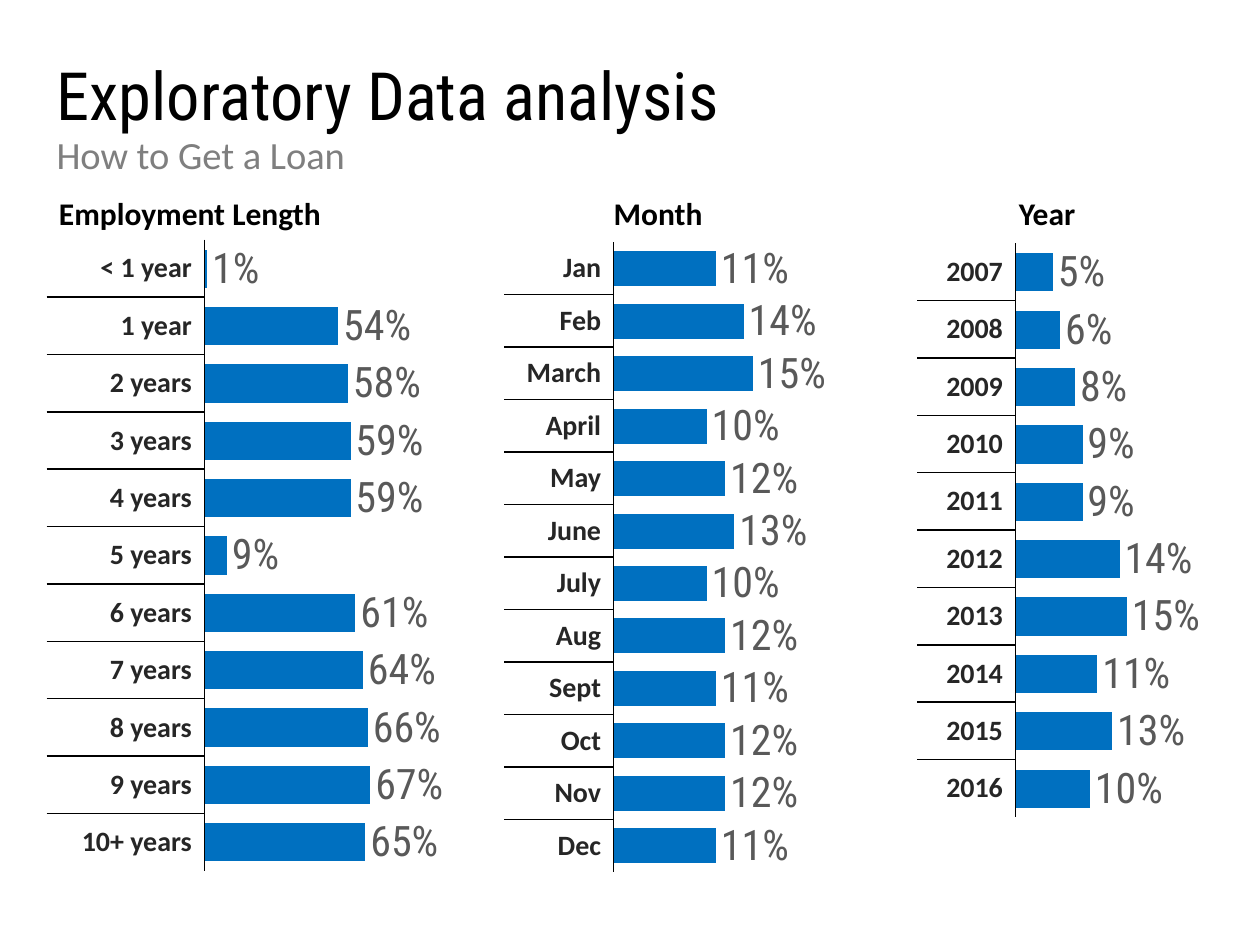
from lxml import etree
from pptx import Presentation
from pptx import util as u
from pptx.chart import data as chart_data
from pptx.dml import color
from pptx.enum import chart as chart_enum
from pptx.enum import text
from pptx.oxml import ns

BLACK, BLUE, GREY = "000000", "0070C0", "7F7F7F"
LABEL_COLOR, VALUE_COLOR = "262626", "595959"
BODY_FONT, DISPLAY_FONT = "Calibri", "Roboto Condensed"
CHART_WIDTH = 7.49

EMPLOYMENT = {
    "< 1 year": 0.01, "1 year": 0.54, "2 years": 0.58, "3 years": 0.59,
    "4 years": 0.59, "5 years": 0.09, "6 years": 0.61, "7 years": 0.64,
    "8 years": 0.66, "9 years": 0.67, "10+ years": 0.65,
}
MONTHS = {
    "Jan": 0.11, "Feb": 0.14, "March": 0.15, "April": 0.10, "May": 0.12, "June": 0.13,
    "July": 0.10, "Aug": 0.12, "Sept": 0.11, "Oct": 0.12, "Nov": 0.12, "Dec": 0.11,
}
YEARS = {
    "2007": 0.05, "2008": 0.06, "2009": 0.08, "2010": 0.09, "2011": 0.09,
    "2012": 0.14, "2013": 0.15, "2014": 0.11, "2015": 0.13, "2016": 0.10,
}


def rgb(value):
    return color.RGBColor.from_string(value)


def set_font(font, size, value, name=BODY_FONT, bold=False):
    font.size = u.Pt(size)
    font.name = name
    font.bold = bold
    font.color.rgb = rgb(value)


def add_text(page, words, left, top, width, height, size, value,
             name=BODY_FONT, bold=False, inset=0.25, spacing=1.0):
    box = page.shapes.add_textbox(u.Cm(left), u.Cm(top), u.Cm(width), u.Cm(height))
    frame = box.text_frame
    frame.word_wrap = True
    frame.margin_left = u.Cm(inset)
    para = frame.paragraphs[0]
    para.text = words
    para.line_spacing = spacing
    set_font(para.font, size, value, name, bold)


def set_borders(cell, visible):
    properties = cell._tc.get_or_add_tcPr()
    for side in "LRTB":
        line = etree.SubElement(properties, ns.qn(f"a:ln{side}"), w=str(u.Pt(1)))
        if side in visible:
            fill = etree.SubElement(line, ns.qn("a:solidFill"))
            etree.SubElement(fill, ns.qn("a:srgbClr"), val=BLACK)
        else:
            etree.SubElement(line, ns.qn("a:noFill"))


def add_labels(page, labels, left, top, width, height):
    count = len(labels)
    table = page.shapes.add_table(
        count, 1, u.Cm(left), u.Cm(top), u.Cm(width), u.Cm(height)).table
    table.first_row = False
    table.horz_banding = False
    for index, label in enumerate(labels):
        table.rows[index].height = u.Cm(height / count)
        cell = table.cell(index, 0)
        visible = "R" + ("T" if index > 0 else "") + ("B" if index < count - 1 else "")
        set_borders(cell, visible)
        cell.fill.background()
        cell.vertical_anchor = text.MSO_ANCHOR.MIDDLE
        para = cell.text_frame.paragraphs[0]
        para.text = label
        para.alignment = text.PP_ALIGN.RIGHT
        set_font(para.font, 16, LABEL_COLOR, bold=True)


def set_plot_area(chart):
    plot_area = chart._chartSpace.chart.plotArea
    for old in plot_area.findall(ns.qn("c:layout")):
        plot_area.remove(old)
    layout = etree.Element(ns.qn("c:layout"))
    manual = etree.SubElement(layout, ns.qn("c:manualLayout"))
    settings = {"layoutTarget": "inner", "xMode": "edge", "yMode": "edge",
                "x": "0.001", "y": "0.001", "w": "0.499", "h": "0.999"}
    for tag, value in settings.items():
        etree.SubElement(manual, ns.qn(f"c:{tag}"), val=value)
    plot_area.insert(0, layout)


def add_bars(page, values, left, top, height, maximum):
    data = chart_data.CategoryChartData(number_format="0%")
    data.categories = [str(number) for number in range(1, len(values) + 1)]
    data.add_series("Series 1", values[::-1])
    chart = page.shapes.add_chart(
        chart_enum.XL_CHART_TYPE.BAR_CLUSTERED, u.Cm(left), u.Cm(top),
        u.Cm(CHART_WIDTH), u.Cm(height), data).chart
    set_font(chart.font, 18, BLACK)
    chart.has_legend = False
    chart.has_title = False
    axis = chart.value_axis
    axis.minimum_scale = 0
    axis.maximum_scale = maximum
    axis.has_major_gridlines = False
    axis.visible = False
    chart.category_axis.visible = False
    plot = chart.plots[0]
    plot.vary_by_categories = False
    plot.gap_width = 50
    fill = plot.series[0].format.fill
    fill.solid()
    fill.fore_color.rgb = rgb(BLUE)
    plot.has_data_labels = True
    labels = plot.data_labels
    labels.show_value = True
    labels.number_format = "0%"
    labels.number_format_is_linked = False
    labels.position = chart_enum.XL_LABEL_POSITION.OUTSIDE_END
    set_font(labels.font, 24, VALUE_COLOR, DISPLAY_FONT)
    set_plot_area(chart)


def add_panel(page, heading, heading_left, heading_width, shares,
              left, top, label_width, height, maximum):
    add_text(page, heading, heading_left, 3.78, heading_width, 1.02, 18, BLACK, bold=True)
    add_bars(page, list(shares.values()), left + label_width, top, height, maximum)
    add_labels(page, list(shares), left, top, label_width, height)


def main():
    deck = Presentation()
    deck.slide_width, deck.slide_height = u.Cm(25.4), u.Cm(19.05)
    page = deck.slides.add_slide(deck.slide_layouts[6])
    add_text(page, "Exploratory Data analysis", 1.14, 1.14, 23.11, 2.97, 38, BLACK,
             DISPLAY_FONT, inset=0, spacing=0.9)
    add_text(page, "How to Get a Loan", 1.14, 2.62, 23.11, 1.5, 22, GREY,
             inset=0, spacing=0.9)
    add_panel(page, "Employment Length", 0.94, 7.95, EMPLOYMENT, 0.94, 4.83, 3.18, 12.73, 0.75)
    add_panel(page, "Month", 12.12, 5.64, MONTHS, 10.16, 4.88, 2.21, 12.7, 0.2)
    add_panel(page, "Year", 20.29, 5.64, YEARS, 18.49, 4.9, 1.98, 11.58, 0.25)
    deck.save("out.pptx")


if __name__ == "__main__":
    main()
